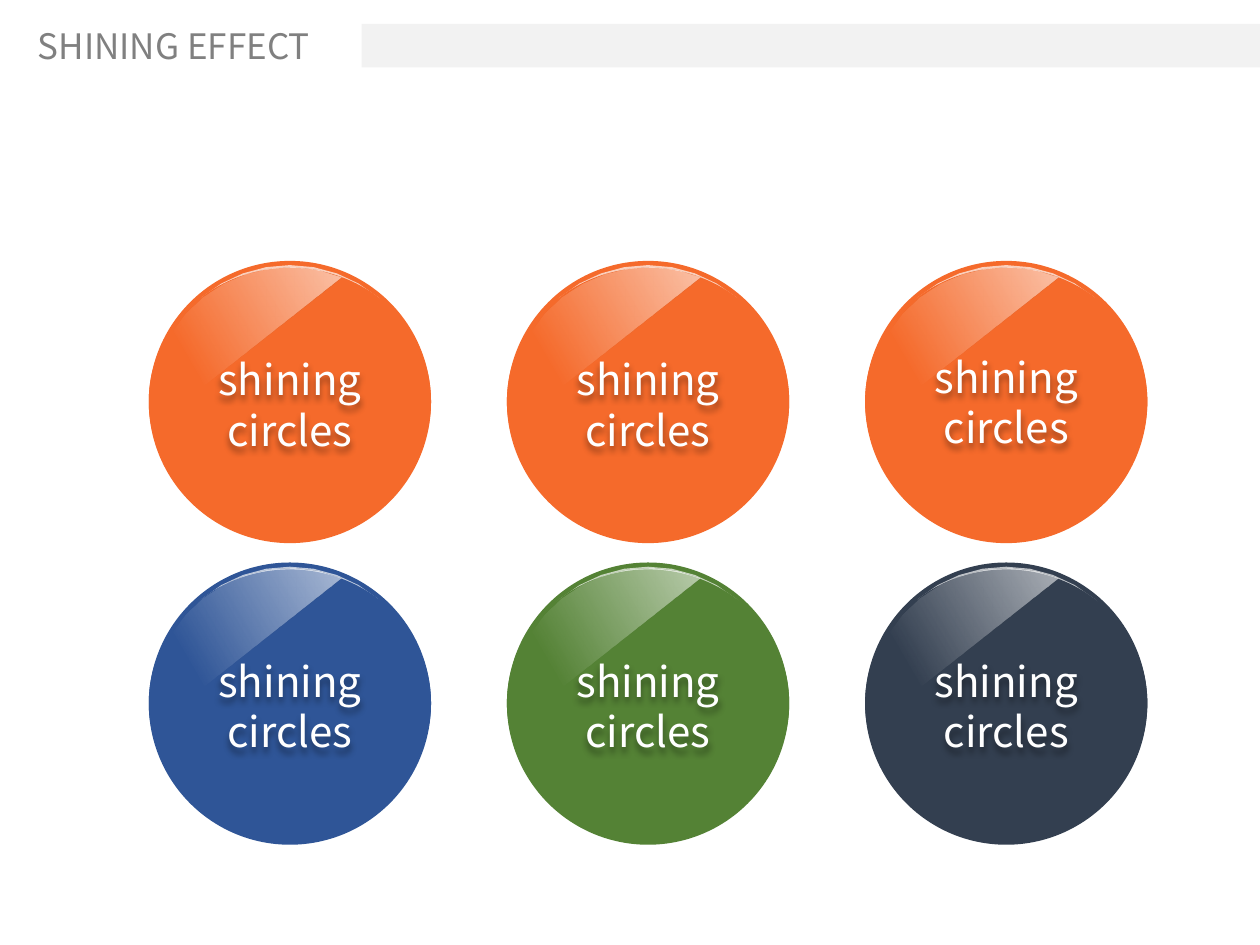
import math

from pptx import Presentation
from pptx import util as u
from pptx.dml.color import RGBColor
from pptx.enum import shapes, text
from pptx.oxml import ns, parse_xml

SHADOW = (
    f'<a:effectLst {ns.nsdecls("a")}><a:outerShdw blurRad="50800" dist="38100" '
    'dir="5400000" algn="t" rotWithShape="0"><a:srgbClr val="000000">'
    '<a:alpha val="40000"/></a:srgbClr></a:outerShdw></a:effectLst>'
)


def rgb(value):
    """Turn a hex string into a colour."""
    return RGBColor.from_string(value)


def arc(cx, cy, rx, ry, start, end):
    """Return points about ten degrees apart along a clockwise elliptical arc."""
    steps = round((end - start) / 10)
    angles = [math.radians(start + (end - start) * i / steps) for i in range(steps + 1)]
    return [(u.Cm(cx + rx * math.cos(a)), u.Cm(cy + ry * math.sin(a))) for a in angles]


class Deck:
    """Hold the style and the current slide."""

    font = "Noto Sans CJK KR"
    size = 5.69

    def __init__(self, width, height):
        """Start a presentation with one blank slide."""
        self.prs = Presentation()
        self.prs.slide_width, self.prs.slide_height = u.Cm(width), u.Cm(height)
        self.s = self.prs.slides.add_slide(self.prs.slide_layouts[6])

    def shape(self, parent, kind, x, y, w, h, color):
        """Add a plain filled preset shape."""
        sp = parent.shapes.add_shape(kind, u.Cm(x), u.Cm(y), u.Cm(w), u.Cm(h))
        sp.shadow.inherit = False
        sp.fill.solid()
        sp.fill.fore_color.rgb = rgb(color)
        sp.line.fill.background()
        return sp

    def outline(self, parent, points):
        """Add a closed freeform without a line."""
        builder = parent.shapes.build_freeform(*points[0])
        builder.add_line_segments(points[1:], close=True)
        sp = builder.convert_to_shape()
        sp.shadow.inherit = False
        sp.line.fill.background()
        return sp

    def opacity(self, sp, *percents):
        """Set the opacity of each fill colour in turn."""
        for clr, percent in zip(sp.element.spPr.iter(ns.qn("a:srgbClr")), percents):
            alpha = clr.makeelement(ns.qn("a:alpha"), {"val": str(percent * 1000)})
            clr.append(alpha)

    def text(self, parent, x, y, w, h, content, size, color, wrap=True):
        """Add a text box in the deck font."""
        sp = parent.shapes.add_textbox(u.Cm(x), u.Cm(y), u.Cm(w), u.Cm(h))
        tf = sp.text_frame
        tf.text = content
        tf.word_wrap = wrap
        tf.auto_size = text.MSO_AUTO_SIZE.SHAPE_TO_FIT_TEXT
        for p in tf.paragraphs:
            for r in p.runs:
                r.font.name, r.font.size = self.font, u.Pt(size)
                r.font.color.rgb = rgb(color)
        return sp

    def label(self, parent, x, y, content):
        """Add centred white text with a soft shadow."""
        sp = self.text(parent, x, y, 3.43, 2.31, content, 24, "FFFFFF", wrap=False)
        sp.text_frame.vertical_anchor = text.MSO_ANCHOR.MIDDLE
        for p in sp.text_frame.paragraphs:
            p.alignment = text.PP_ALIGN.CENTER
        sp.element.spPr.append(parse_xml(SHADOW))

    def shining_circle(self, x, y, color, content, label_top=1.73):
        """Add a glossy circle with its label as one group."""
        group = self.s.shapes.add_group_shape()
        oval, d = shapes.MSO_SHAPE.OVAL, self.size
        cx = x + d / 2
        self.shape(group, oval, x, y, d, d, color)
        rim = self.outline(group, arc(cx, y + d / 2, 2.76, 2.76, 160, 380))
        rim.fill.solid()
        rim.fill.fore_color.rgb = rgb("FFFFFF")
        self.opacity(rim, 69)
        self.shape(group, oval, x, y + 0.14, d, 5.38, color)
        gloss = self.outline(group, arc(cx, y + 2.77, 2.74, 2.64, 169, 292.5))
        gloss.fill.gradient()
        gloss.fill.gradient_angle = 210
        for stop, position in zip(gloss.fill.gradient_stops, (0, 0.74)):
            stop.color.rgb = rgb("FFFFFF")
            stop.position = position
        self.opacity(gloss, 58, 0)
        self.label(group, x + 1.13, y + label_top, content)


def main():
    """Build the slide and save it."""
    deck = Deck(25.4, 19.05)
    rows = [("F56A2B", "F56A2B", "F56A2B"), ("2F5597", "548235", "333F50")]
    for i, colors in enumerate(rows):
        for j, color in enumerate(colors):
            label_top = 1.68 if (i, j) == (0, 2) else 1.73
            deck.shining_circle(3 + 7.22 * j, 5.26 + 6.08 * i, color,
                                "shining\ncircles", label_top)
    deck.text(deck.s, 0.51, 0.36, 13.59, 1.11, "SHINING EFFECT", 20, "808080")
    deck.shape(deck.s, shapes.MSO_SHAPE.RECTANGLE, 7.29, 0.48, 18.11, 0.88, "F2F2F2")
    deck.prs.save("out.pptx")


if __name__ == "__main__":
    main()
